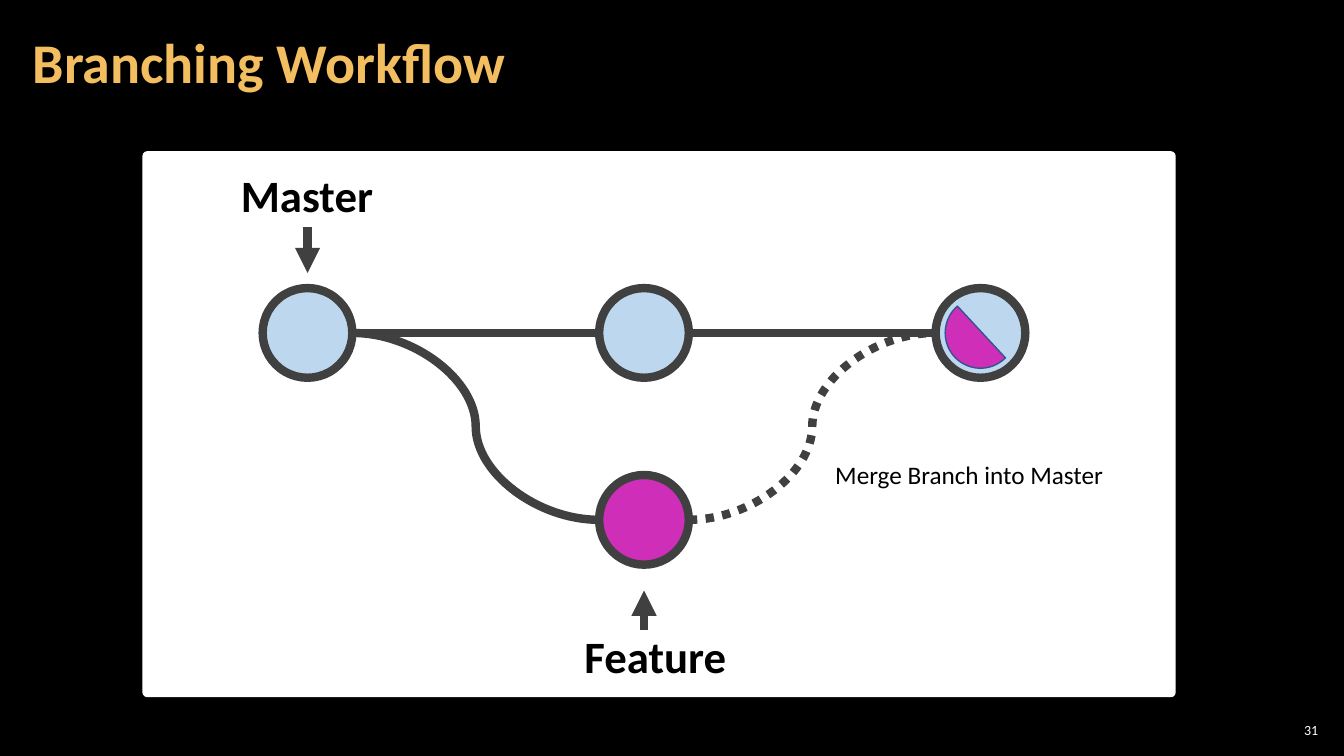
import pptx
import pptx.dml.color
import pptx.enum.dml
import pptx.enum.shapes
import pptx.enum.text
import pptx.oxml
import pptx.oxml.ns
import pptx.util

Cm = pptx.util.Cm
Pt = pptx.util.Pt
SHAPE = pptx.enum.shapes.MSO_SHAPE
CONNECTOR = pptx.enum.shapes.MSO_CONNECTOR
TEXT = pptx.enum.text

GREY = "404040"
BLUE = "BDD7EE"
MAGENTA = "CF2FB8"


def color(hex_value):
    return pptx.dml.color.RGBColor.from_string(hex_value)


def add_filled_shape(kind, left, top, width, height, fill, line=None, line_width=0):
    """Add a flat preset shape, measured in centimetres, with an optional outline."""
    shape = slide.shapes.add_shape(kind, Cm(left), Cm(top), Cm(width), Cm(height))
    shape.shadow.inherit = False
    shape.fill.solid()
    shape.fill.fore_color.rgb = color(fill)
    if line:
        shape.line.color.rgb = color(line)
        shape.line.width = Pt(line_width)
    else:
        shape.line.fill.background()
    return shape


deck = pptx.Presentation()
deck.slide_width = Cm(33.87)
deck.slide_height = Cm(19.05)
slide = deck.slides.add_slide(deck.slide_layouts[5])
slide.background.fill.solid()
slide.background.fill.fore_color.rgb = color("000000")

# Title
title = slide.shapes.title
title.left, title.top, title.width, title.height = Cm(0.53), Cm(0.1), Cm(26.6), Cm(3.07)
frame = title.text_frame
frame.text = "Branching Workflow"
frame.vertical_anchor = TEXT.MSO_ANCHOR.MIDDLE
frame.margin_left = frame.margin_right = Cm(0.3)
frame.margin_top = frame.margin_bottom = Cm(0.1)
para = frame.paragraphs[0]
para.alignment = TEXT.PP_ALIGN.LEFT
para.line_spacing = 0.9
para.font.name = "Calibri"
para.font.size = Pt(40)
para.font.bold = True
para.font.color.rgb = color("F3BE60")

# White panel
panel = add_filled_shape(SHAPE.ROUNDED_RECTANGLE, 3.59, 3.81, 26.04, 13.76, "FFFFFF")
panel.adjustments[0] = 0.009

# Commit positions
radius = 1.13
first_x, step = 7.75, 8.48
start_x, middle_x, merge_x = [first_x + step * index for index in range(3)]
master_y, feature_y = 8.39, 13.1

# Branch lines and label arrows: kind, from, to, dashed, arrowhead
connectors = [
    (CONNECTOR.STRAIGHT, start_x + radius, master_y, middle_x - radius, master_y, False, False),
    (CONNECTOR.STRAIGHT, middle_x + radius, master_y, merge_x - radius, master_y, False, False),
    (CONNECTOR.CURVE, start_x + radius, master_y, middle_x - radius, feature_y, False, False),
    (CONNECTOR.CURVE, middle_x + radius, feature_y, merge_x - radius, master_y, True, False),
    (CONNECTOR.STRAIGHT, start_x, 5.72, start_x, 6.88, False, True),
    (CONNECTOR.STRAIGHT, middle_x, 15.88, middle_x, 14.88, False, True),
]
for kind, from_x, from_y, to_x, to_y, dashed, arrowhead in connectors:
    connector = slide.shapes.add_connector(kind, Cm(from_x), Cm(from_y), Cm(to_x), Cm(to_y))
    connector.line.color.rgb = color(GREY)
    connector.line.width = Pt(6)
    if dashed:
        connector.line.dash_style = pptx.enum.dml.MSO_LINE.ROUND_DOT
    properties = connector._element.spPr
    if arrowhead:
        tail = pptx.oxml.parse_xml(f'<a:tailEnd {pptx.oxml.ns.nsdecls("a")} type="triangle"/>')
        properties.find(pptx.oxml.ns.qn("a:ln")).append(tail)
    properties.append(pptx.oxml.parse_xml(f'<a:effectLst {pptx.oxml.ns.nsdecls("a")}/>'))

# Commits
commits = [
    (start_x, master_y, BLUE),
    (middle_x, master_y, BLUE),
    (merge_x, master_y, BLUE),
    (middle_x, feature_y, MAGENTA),
]
for x, y, fill in commits:
    add_filled_shape(SHAPE.OVAL, x - radius, y - radius, 2 * radius, 2 * radius, fill, GREY, 6)

# Merged half of the last commit
half_radius = 0.89
merged_half = add_filled_shape(
    SHAPE.CHORD, merge_x - half_radius, master_y - half_radius,
    2 * half_radius, 2 * half_radius, MAGENTA, "325491", 1)
merged_half.adjustments[0] = 27
merged_half.adjustments[1] = 137.55

# Labels: text, left, top, width, height, size, bold
labels = [
    ("Master", 5.82, 4.09, 3.89, 1.63, 32, True),
    ("Feature", 14.48, 15.72, 4.11, 1.63, 32, True),
    ("Merge Branch into Master", 20.8, 11.46, 7.34, 1.02, 18, False),
]
for text, left, top, width, height, size, bold in labels:
    box = slide.shapes.add_textbox(Cm(left), Cm(top), Cm(width), Cm(height))
    box.text_frame.text = text
    box.text_frame.word_wrap = False
    box.text_frame.auto_size = TEXT.MSO_AUTO_SIZE.SHAPE_TO_FIT_TEXT
    para = box.text_frame.paragraphs[0]
    para.font.name = "Calibri"
    para.font.size = Pt(size)
    para.font.bold = bold
    para.font.color.rgb = color("000000")

# Slide number
box = slide.shapes.add_textbox(Cm(32.13), Cm(18.14), Cm(1.19), Cm(0.53))
frame = box.text_frame
frame.text = "31"
frame.word_wrap = True
frame.vertical_anchor = TEXT.MSO_ANCHOR.MIDDLE
frame.margin_left = frame.margin_right = frame.margin_top = frame.margin_bottom = Cm(0.1)
para = frame.paragraphs[0]
para.alignment = TEXT.PP_ALIGN.RIGHT
para.font.name = "Calibri"
para.font.size = Pt(10)
para.font.color.rgb = color("FFFFFF")

deck.save("out.pptx")
